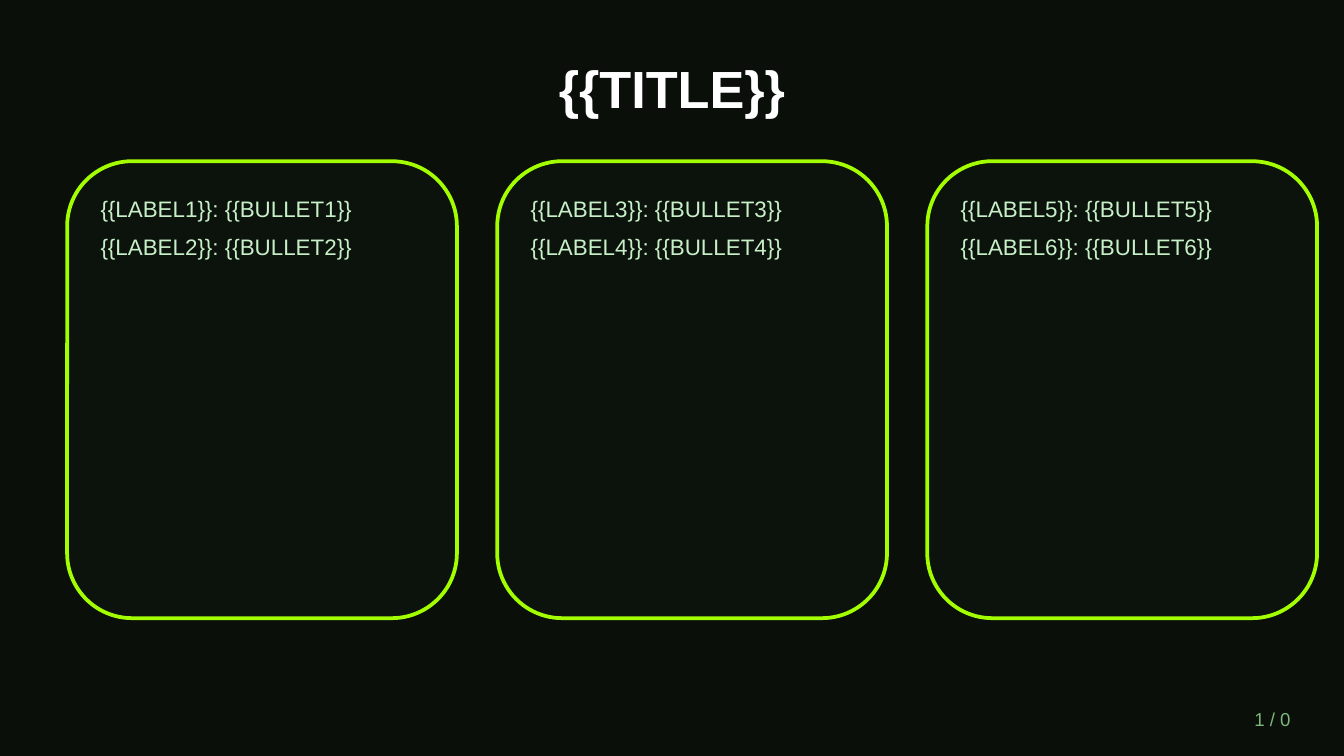
from lxml.etree import SubElement
from pptx import Presentation
from pptx.dml.color import RGBColor
from pptx.enum.shapes import MSO_SHAPE
from pptx.enum.text import MSO_ANCHOR, PP_ALIGN
from pptx.oxml.ns import qn
from pptx.util import Inches, Pt

SLIDE_WIDTH = 10
SLIDE_HEIGHT = SLIDE_WIDTH * 9 / 16
MARGIN = 0.5
CARD_TOP, CARD_WIDTH, CARD_HEIGHT = 1.2, 2.9, 3.4
CARD_GAP = 0.3
CARD_PADDING_X, CARD_PADDING_Y = 0.15, 0.2
CARD_COUNT = 3
LINES_PER_CARD = 2


def color(hex_string):
    return RGBColor.from_string(hex_string)


def add_text(slide, lines, left, top, width, height, size=12, text_color="C8F0C8",
             bold=False, align=PP_ALIGN.LEFT, anchor=MSO_ANCHOR.TOP, space_after=0):
    shape = slide.shapes.add_textbox(Inches(left), Inches(top), Inches(width), Inches(height))
    frame = shape.text_frame
    frame.word_wrap = True
    frame.vertical_anchor = anchor
    frame.text = "\n".join(lines)
    for paragraph in frame.paragraphs:
        paragraph.alignment = align
        paragraph.space_after = Pt(space_after)
        for run in paragraph.runs:
            run.font.name = "Arial"
            run.font.size = Pt(size)
            run.font.bold = bold
            run.font.color.rgb = color(text_color)


def set_opacity(fill_owner, percent):
    fill_color = fill_owner.find(qn("a:solidFill")).find(qn("a:srgbClr"))
    SubElement(fill_color, qn("a:alpha")).set("val", str(percent * 1000))


def add_card(slide, column, lines):
    left = MARGIN + column * (CARD_WIDTH + CARD_GAP)
    shape = slide.shapes.add_shape(
        MSO_SHAPE.ROUNDED_RECTANGLE,
        Inches(left), Inches(CARD_TOP), Inches(CARD_WIDTH), Inches(CARD_HEIGHT))
    shape.shadow.inherit = False
    shape.fill.solid()
    shape.fill.fore_color.rgb = color("0D140D")
    set_opacity(shape.element.spPr, 90)
    shape.line.color.rgb = color("A3FF00")
    shape.line.width = Pt(2)
    add_text(slide, lines, left + CARD_PADDING_X, CARD_TOP + CARD_PADDING_Y,
             CARD_WIDTH - 2 * CARD_PADDING_X, CARD_HEIGHT - 2 * CARD_PADDING_Y,
             space_after=6)


def main():
    presentation = Presentation()
    presentation.slide_width = Inches(SLIDE_WIDTH)
    presentation.slide_height = Inches(SLIDE_HEIGHT)
    slide = presentation.slides.add_slide(presentation.slide_layouts[6])
    slide.background.fill.solid()
    slide.background.fill.fore_color.rgb = color("0A0F0A")

    add_text(slide, ["{{TITLE}}"], MARGIN, 0.3, SLIDE_WIDTH - 2 * MARGIN, 0.7,
             size=28, text_color="FFFFFF", bold=True,
             align=PP_ALIGN.CENTER, anchor=MSO_ANCHOR.MIDDLE)
    for column in range(CARD_COUNT):
        first = column * LINES_PER_CARD + 1
        lines = [f"{{{{LABEL{number}}}}}: {{{{BULLET{number}}}}}"
                 for number in range(first, first + LINES_PER_CARD)]
        add_card(slide, column, lines)
    add_text(slide, ["1 / 0"], 8.5, 5.2, 1.2, 0.3, size=10, text_color="7CB87C",
             align=PP_ALIGN.RIGHT, anchor=MSO_ANCHOR.MIDDLE)
    presentation.save("out.pptx")


if __name__ == "__main__":
    main()
